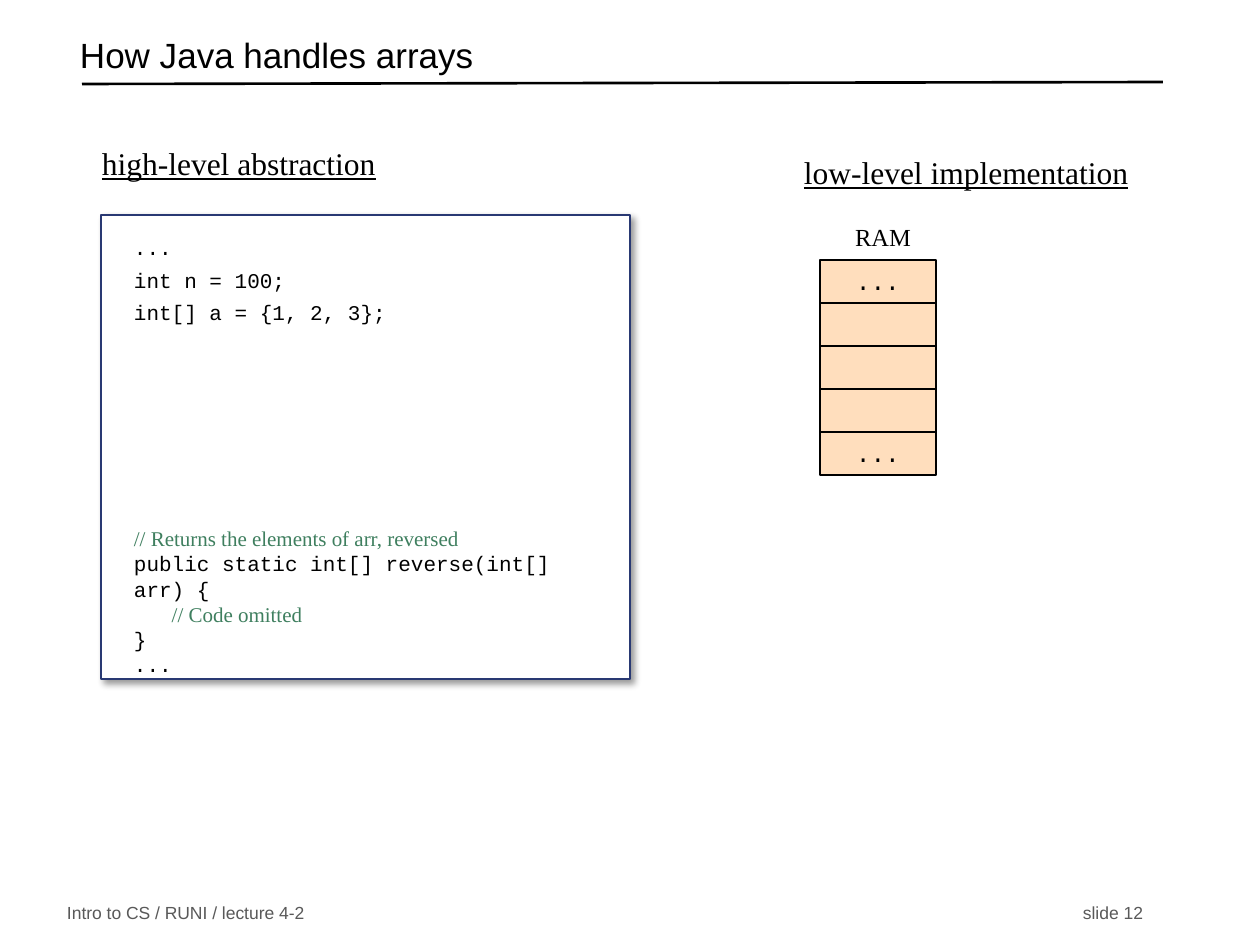
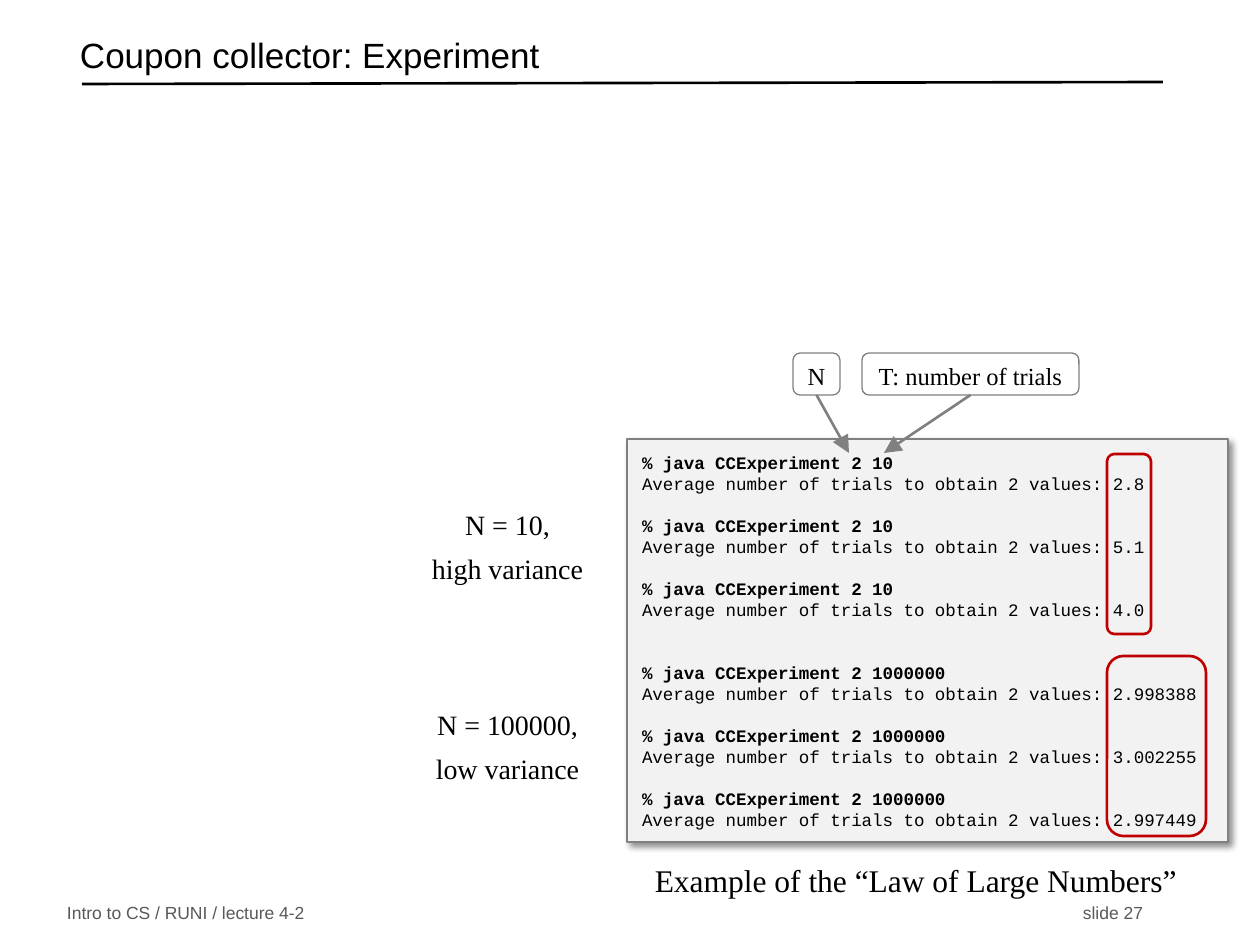
from lxml import etree
from pptx import Presentation
from pptx.dml.color import RGBColor
from pptx.enum import shapes, text
from pptx.oxml import ns
from pptx import util as u

PX = u.Inches(1) / 126

BLACK = RGBColor(0x00, 0x00, 0x00)
WHITE = RGBColor(0xFF, 0xFF, 0xFF)
GRAY = RGBColor(0x80, 0x80, 0x80)
FOOTER_GRAY = RGBColor(0x59, 0x59, 0x59)
TERMINAL_GRAY = RGBColor(0xF2, 0xF2, 0xF2)
PEACH = RGBColor(0xFF, 0xDE, 0xBD)
NAVY = RGBColor(0x29, 0x39, 0x73)
RED = RGBColor(0xC0, 0x00, 0x00)
COMMENT_GREEN = RGBColor(0x3F, 0x7F, 0x5F)

SANS, SERIF, MONO = "Arial", "Times New Roman", "Courier New"
LEFT, CENTER = text.PP_ALIGN.LEFT, text.PP_ALIGN.CENTER
TOP, MIDDLE = text.MSO_ANCHOR.TOP, text.MSO_ANCHOR.MIDDLE
RECT, ROUNDED = shapes.MSO_SHAPE.RECTANGLE, shapes.MSO_SHAPE.ROUNDED_RECTANGLE


def px(*lengths):
    return [round(length * PX) for length in lengths]


# Text
def add_span(para, words, font=SERIF, size=14, color=BLACK, bold=False, underline=False):
    span = para.add_run()
    span.text = words
    span.font.name, span.font.size = font, u.Pt(size)
    span.font.color.rgb = color
    span.font.bold, span.font.underline = bold, underline


def add_para(box, words, align=LEFT, before=0, spacing=1.0, tab=None, **font_format):
    frame = box.text_frame
    first = frame.paragraphs[0]
    para = frame.add_paragraph() if first.runs else first
    if tab:
        tabs = etree.SubElement(para._p.get_or_add_pPr(), ns.qn("a:tabLst"))
        etree.SubElement(tabs, ns.qn("a:tab"), pos=str(px(tab)[0]), algn="r")
    para.alignment, para.line_spacing = align, spacing
    para.space_before = u.Pt(before)
    add_span(para, words, **font_format)
    return para


def set_frame(box, insets, anchor):
    frame = box.text_frame
    frame.word_wrap = True
    frame.vertical_anchor = anchor
    (frame.margin_left, frame.margin_top,
     frame.margin_right, frame.margin_bottom) = px(*insets)


def add_label(page, place, *lines, insets=(13, 6, 13, 6), anchor=TOP, before=0, **para_format):
    box = page.shapes.add_textbox(*px(*place))
    set_frame(box, insets, anchor)
    for index, line in enumerate(lines):
        add_para(box, line, before=before if index else 0, **para_format)
    return box


# Shapes
def add_box(page, place, fill=None, line=BLACK, width=0.75, kind=RECT,
            insets=(0, 0, 0, 0), shadow=None):
    box = page.shapes.add_shape(kind, *px(*place))
    box.shadow.inherit = False
    if fill is None:
        box.fill.background()
    else:
        box.fill.solid()
        box.fill.fore_color.rgb = fill
    box.line.color.rgb, box.line.width = line, u.Pt(width)
    set_frame(box, insets, TOP)
    if shadow:
        effects = box.element.spPr.find(ns.qn("a:effectLst"))
        outer = etree.SubElement(effects, ns.qn("a:outerShdw"), blurRad=str(u.Pt(4)),
                                 dist=str(u.Pt(3)), dir="2700000", algn="tl", rotWithShape="0")
        shade = etree.SubElement(outer, ns.qn("a:srgbClr"), val=str(BLACK))
        etree.SubElement(shade, ns.qn("a:alpha"), val=str(shadow * 1000))
    return box


def add_line(page, ends, color=BLACK, start=None, arrow=False):
    line = page.shapes.add_connector(shapes.MSO_CONNECTOR.STRAIGHT, *px(*ends))
    line.line.color.rgb, line.line.width = color, u.Pt(1.5)
    properties = line.element.spPr
    if arrow:
        etree.SubElement(properties.find(ns.qn("a:ln")), ns.qn("a:tailEnd"),
                         type="triangle", w="lg", len="lg")
    etree.SubElement(properties, ns.qn("a:effectLst"))
    if start is not None:
        line.begin_connect(start, 2)


# Shared page: title, rule and footer
def add_page(deck, title, number):
    page = deck.slides.add_slide(deck.slide_layouts[6])
    add_line(page, (82, 84, 1163, 82))
    add_label(page, (54, 900, 1110, 26), f"Intro to CS / RUNI / lecture 4-2\tslide {number}",
              anchor=MIDDLE, tab=1076, font=SANS, size=10, color=FOOTER_GRAY)
    add_label(page, (67, 28, 1084, 63), title, anchor=MIDDLE, spacing=0.7, font=SANS, size=20)
    return page


def build_arrays(deck):
    page = add_page(deck, "How Java handles arrays", 12)
    heading = dict(size=18, underline=True)
    add_label(page, (89, 138, 315, 50), "high-level abstraction", **heading)
    add_label(page, (791, 147, 440, 50), "low-level implementation", **heading)

    # Memory column
    add_label(page, (842, 216, 158, 53), "RAM")
    for row, content in enumerate(["...", "", "", "", "..."]):
        cell = add_box(page, (820, 260 + 43 * row, 116, 43), PEACH, insets=(0, 6, 0, 0))
        if content:
            add_para(cell, content, align=CENTER, font=MONO)

    # Code listing
    code = add_box(page, (101, 215, 529, 464), WHITE, NAVY, insets=(33, 20, 23, 0), shadow=40)
    mono = dict(font=MONO, size=12)
    comment = dict(size=12, color=COMMENT_GREEN)
    for line in ["...", "int n = 100;", "int[] a = {1, 2, 3};"]:
        add_para(code, line, before=4 if line != "..." else 0, **mono)
    add_para(code, "// Returns the elements of arr, reversed", before=115, **comment)
    add_para(code, "public static int[] reverse(int[] arr) {", **mono)
    body = add_para(code, "   ", **mono)
    add_span(body, "// Code omitted", **comment)
    for line in ["}", "..."]:
        add_para(code, line, **mono)


def build_experiment(deck):
    page = add_page(deck, "Coupon collector: Experiment", 27)

    # Terminal session
    terminal = add_box(page, (627, 439, 601, 403), TERMINAL_GRAY, GRAY, 1.25,
                       insets=(15, 13, 0, 0), shadow=43)
    trials = [(10, "2.8", 0), (10, "5.1", 12), (10, "4.0", 12),
              (1000000, "2.998388", 24), (1000000, "3.002255", 12), (1000000, "2.997449", 12)]
    for count, average, gap in trials:
        add_para(terminal, f"% java CCExperiment 2 {count}", before=gap,
                 font=MONO, size=10, bold=True)
        add_para(terminal, f"Average number of trials to obtain 2 values: {average}",
                 font=MONO, size=10)

    # Argument labels with arrows
    for name, left, width, tip in [("N", 793, 47, 849), ("T: number of trials", 862, 217, 884)]:
        label = add_box(page, (left, 353, width, 42), WHITE, GRAY, kind=ROUNDED,
                        insets=(0, 6, 0, 0))
        add_para(label, name, align=CENTER)
        add_line(page, (left + width // 2, 395, tip, 453), GRAY, start=label, arrow=True)

    # Remarks
    remark = dict(insets=(10, 6, 0, 6), anchor=MIDDLE, align=CENTER, before=6)
    add_label(page, (622, 856, 578, 47), "Example of the “Law of Large Numbers”",
              size=18, **remark)
    add_label(page, (412, 496, 181, 101), "N = 10,", "high variance", size=16, **remark)
    add_label(page, (412, 696, 181, 101), "N = 100000,", "low variance", size=16, **remark)

    # Result frames
    for top, width in [(454, 44), (656, 99)]:
        add_box(page, (1107, top, width, 180), line=RED, width=1.5, kind=ROUNDED)


def main():
    deck = Presentation()
    deck.slide_width, deck.slide_height = px(1260, 945)
    build_arrays(deck)
    build_experiment(deck)
    deck.save("out.pptx")


if __name__ == "__main__":
    main()
